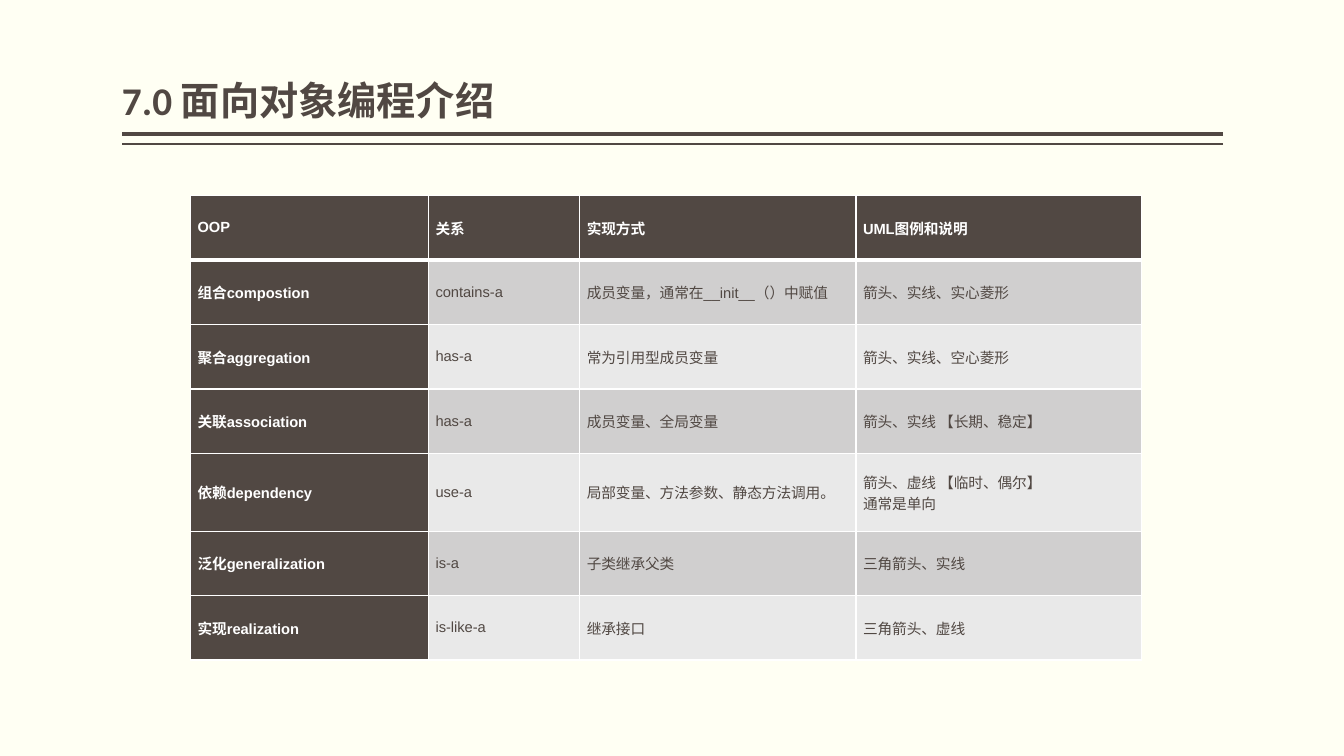
from dataclasses import dataclass

from lxml import etree
from pptx import Presentation
from pptx.dml.color import RGBColor
from pptx.enum import shapes, text
from pptx.oxml import ns
from pptx.util import Inches, Pt


@dataclass(frozen=True)
class Theme:
    background: str = "FFFFF3"
    dark: str = "514843"
    white: str = "FFFFFF"
    bands: tuple = ("D0CFCF", "E9E9E9")
    title_font: str = "Calibri"
    table_font: str = "Arial"
    title_size: float = 28
    table_size: float = 10.5


THEME = Theme()
TITLE = "7.0 面向对象编程介绍"
RELATIONS = [
    ("OOP", "关系", "实现方式", "UML图例和说明"),
    ("组合compostion", "contains-a", "成员变量，通常在__init__（）中赋值", "箭头、实线、实心菱形"),
    ("聚合aggregation", "has-a", "常为引用型成员变量", "箭头、实线、空心菱形"),
    ("关联association", "has-a", "成员变量、全局变量", "箭头、实线 【长期、稳定】"),
    ("依赖dependency", "use-a", "局部变量、方法参数、静态方法调用。", "箭头、虚线 【临时、偶尔】\n通常是单向"),
    ("泛化generalization", "is-a", "子类继承父类", "三角箭头、实线"),
    ("实现realization", "is-like-a", "继承接口", "三角箭头、虚线"),
]
COLUMN_WIDTHS = (2.36, 1.5, 2.74, 2.83)
ROW_HEIGHT, TWO_LINE_HEIGHT = 0.64, 0.77


def set_attrs(obj, values):
    for name, value in values.items():
        setattr(obj, name, value)


def style_font(font, name, size, color, bold):
    set_attrs(font, {"name": name, "size": Pt(size), "bold": bold})
    font.color.rgb = RGBColor.from_string(color)


def add_rule(slide, left, top, width, weight):
    line = slide.shapes.add_connector(
        shapes.MSO_CONNECTOR.STRAIGHT,
        Inches(left + width), Inches(top), Inches(left), Inches(top))
    line.line.color.rgb = RGBColor.from_string(THEME.dark)
    line.line.width = Pt(weight)
    etree.SubElement(line._element.spPr, ns.qn("a:effectLst"))


def add_title(slide, left, top, width, height):
    """Place the heading in the box, with a thick and a thin rule below it."""
    for gap, weight in ((0.05, 3), (0.15, 1)):
        add_rule(slide, left, top + height + gap, width, weight)
    box = slide.shapes.add_textbox(Inches(left), Inches(top), Inches(width), Inches(height))
    tf = box.text_frame
    set_attrs(tf, {"word_wrap": True, "vertical_anchor": text.MSO_ANCHOR.BOTTOM,
                   "margin_left": 0, "margin_right": 0,
                   "margin_top": Inches(0.05), "margin_bottom": Inches(0.05)})
    p = tf.paragraphs[0]
    p.line_spacing = 0.9
    r = p.add_run()
    r.text = TITLE
    style_font(r.font, THEME.title_font, THEME.title_size, THEME.dark, True)


def add_borders(cell, weights):
    """Draw white borders; weights maps each side (L, R, T, B) to points."""
    tc_pr = cell._tc.get_or_add_tcPr()
    for side, weight in weights.items():
        ln = etree.SubElement(tc_pr, ns.qn(f"a:ln{side}"), w=str(Pt(weight)))
        fill = etree.SubElement(ln, ns.qn("a:solidFill"))
        etree.SubElement(fill, ns.qn("a:srgbClr"), val=THEME.white)


def fill_cell(cell, content, row, col):
    is_heading = row == 0 or col == 0
    add_borders(cell, {"L": 1, "R": 1, "T": 3 if row == 1 else 1, "B": 3 if row == 0 else 1})
    cell.fill.solid()
    fill = THEME.dark if is_heading else THEME.bands[(row - 1) % 2]
    cell.fill.fore_color.rgb = RGBColor.from_string(fill)
    set_attrs(cell, {"vertical_anchor": text.MSO_ANCHOR.MIDDLE,
                     "margin_left": Inches(0.07), "margin_right": Inches(0.07),
                     "margin_top": 0, "margin_bottom": 0})
    cell.text_frame.text = content
    color = THEME.white if is_heading else THEME.dark
    for p in cell.text_frame.paragraphs:
        p.alignment = text.PP_ALIGN.JUSTIFY
        for r in p.runs:
            style_font(r.font, THEME.table_font, THEME.table_size, color, is_heading)


def add_relation_table(slide, left, top, width, height):
    frame = slide.shapes.add_table(
        len(RELATIONS), len(COLUMN_WIDTHS),
        Inches(left), Inches(top), Inches(width), Inches(height))
    table = frame.table
    set_attrs(table, {"first_col": True, "horz_banding": False})
    for column, share in zip(table.columns, COLUMN_WIDTHS):
        column.width = Inches(width * share / sum(COLUMN_WIDTHS))
    for row, contents in enumerate(RELATIONS):
        has_two_lines = any("\n" in content for content in contents)
        table.rows[row].height = Inches(TWO_LINE_HEIGHT if has_two_lines else ROW_HEIGHT)
        for col, content in enumerate(contents):
            fill_cell(table.cell(row, col), content, row, col)


def build_slide(prs):
    slide = prs.slides.add_slide(prs.slide_layouts[6])
    slide.background.fill.solid()
    slide.background.fill.fore_color.rgb = RGBColor.from_string(THEME.background)
    add_title(slide, 1.21, 0.08, 10.92, 1.2)
    add_relation_table(slide, 1.89, 1.94, 9.43, 4.6)


def main():
    prs = Presentation()
    set_attrs(prs, {"slide_width": Inches(13.33), "slide_height": Inches(7.5)})
    build_slide(prs)
    prs.save("out.pptx")


if __name__ == "__main__":
    main()
